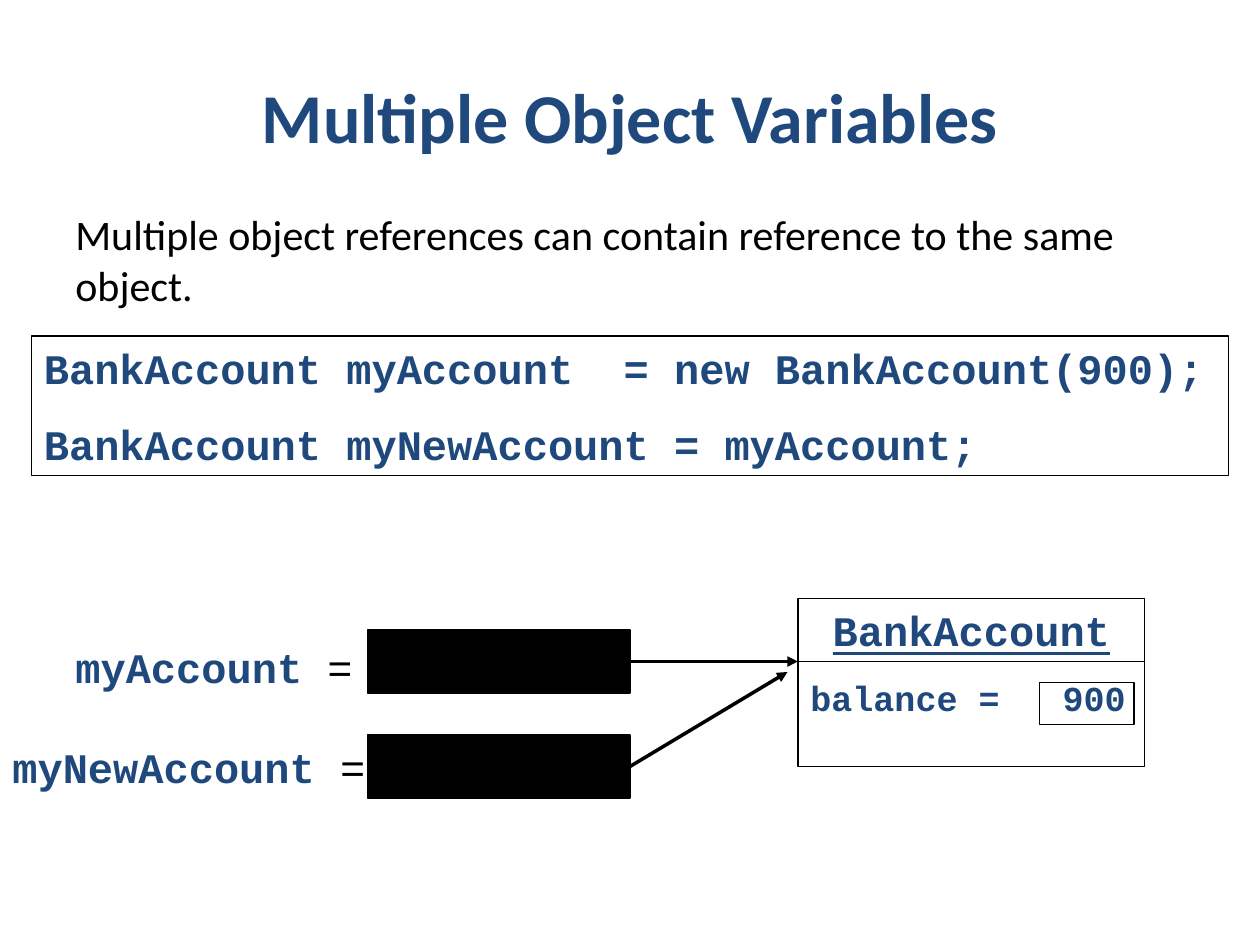
from lxml.etree import SubElement
from pptx import Presentation
from pptx.dml.color import RGBColor as Rgb
from pptx.enum.shapes import MSO_CONNECTOR as Connector, MSO_SHAPE as Shape
from pptx.enum.text import MSO_ANCHOR as Anchor, PP_ALIGN as Align
from pptx.oxml.ns import qn
from pptx.util import Inches, Pt

COLUMNS, ROWS = 120, 90
WIDTH, HEIGHT = Inches(10), Inches(7.5)
COLORS = {"navy": "1F497D", "black": "000000"}
CODE = {"name": "Courier New", "size": Pt(24), "bold": True}
SMALL_CODE = {**CODE, "size": Pt(20)}
UNDERLINED = {**CODE, "underline": True}
PLAIN_CODE = {**CODE, "bold": False}
BODY = {"name": "Calibri", "size": Pt(24), "bold": False}
HEADING = {"name": "Calibri", "size": Pt(40), "bold": True}


def across(columns):
    return int(WIDTH * columns / COLUMNS)


def down(rows):
    return int(HEIGHT * rows / ROWS)


def place(box):
    left, top, width, height = box
    return across(left), down(top), across(width), down(height)


def color(name):
    return Rgb.from_string(COLORS[name])


def write(part, lines, anchor=Anchor.TOP):
    frame = part.text_frame
    frame.word_wrap = True
    frame.vertical_anchor = anchor
    for index, (align, before, pieces) in enumerate(lines):
        line = frame.paragraphs[0] if index == 0 else frame.add_paragraph()
        line.alignment = align
        line.space_before = Pt(before)
        for words, font, ink in pieces:
            run = line.add_run()
            run.text = words
            for key, value in font.items():
                setattr(run.font, key, value)
            run.font.color.rgb = color(ink)


def add_label(slide, box, lines, anchor=Anchor.TOP):
    write(slide.shapes.add_textbox(*place(box)), lines, anchor)


def add_frame(slide, box, lines=(), fill=None):
    frame = slide.shapes.add_shape(Shape.RECTANGLE, *place(box))
    frame.shadow.inherit = False
    if fill:
        frame.fill.solid()
        frame.fill.fore_color.rgb = color(fill)
    else:
        frame.fill.background()
    frame.line.color.rgb = color("black")
    frame.line.width = Pt(1)
    if lines:
        write(frame, lines)


def add_rule(slide, start, end, weight=1, arrow=False):
    rule = slide.shapes.add_connector(
        Connector.STRAIGHT, across(start[0]), down(start[1]), across(end[0]), down(end[1]))
    rule.line.color.rgb = color("black")
    rule.line.width = Pt(weight)
    if arrow:
        SubElement(rule.line._get_or_add_ln(), qn("a:tailEnd"), type="triangle")
    SubElement(rule._element.spPr, qn("a:effectLst"))


def add_title(slide, box):
    heading = [("Multiple Object Variables", HEADING, "navy")]
    add_label(slide, box, [(Align.CENTER, 0, heading)], Anchor.MIDDLE)


def add_intro(slide, box):
    sentence = "Multiple object references can contain reference to the same object."
    add_label(slide, box, [(Align.LEFT, 15, [(sentence, BODY, "black")])])


def add_code(slide, box):
    statements = ("BankAccount myAccount  = new BankAccount(900);",
                  "BankAccount myNewAccount = myAccount;")
    add_frame(slide, box, [(Align.LEFT, 15, [(statement, CODE, "navy")])
                           for statement in statements])


def add_variable(slide, box, variable, indent, drop, target):
    left, top, width, height = box
    cell_left, cell_width = left + 35, 25
    add_label(slide, (left + indent, top + drop, 43 - indent, height),
              [(Align.LEFT, 15, [(variable + " ", CODE, "navy"), ("=", PLAIN_CODE, "black")])])
    add_frame(slide, (cell_left, top, cell_width, height), fill="black")
    add_rule(slide, (left + width, top + height / 2), target, weight=2, arrow=True)


def add_object(slide, box):
    left, top, width, height = box
    add_frame(slide, box, [
        (Align.CENTER, 15, [("BankAccount", UNDERLINED, "navy")]),
        (Align.LEFT, 12.5, [("balance =   900", SMALL_CODE, "navy")])])
    add_rule(slide, (left, top + 6), (left + width, top + 6))
    add_frame(slide, (left + 23, top + 8, 9, 4))


def main():
    deck = Presentation()
    deck.slide_width, deck.slide_height = WIDTH, HEIGHT
    slide = deck.slides.add_slide(deck.slide_layouts[6])
    add_title(slide, (0, 3, 120, 16))
    add_intro(slide, (6, 19.3, 109, 10.8))
    add_code(slide, (3, 32, 114, 13.3))
    add_object(slide, (76, 57, 33, 16))
    add_variable(slide, (0, 60, 60, 6), "myAccount", 6, 0.5, (76, 63))
    add_variable(slide, (0, 70, 60, 6), "myNewAccount", 0, 0, (75, 64))
    deck.save("out.pptx")


if __name__ == "__main__":
    main()
